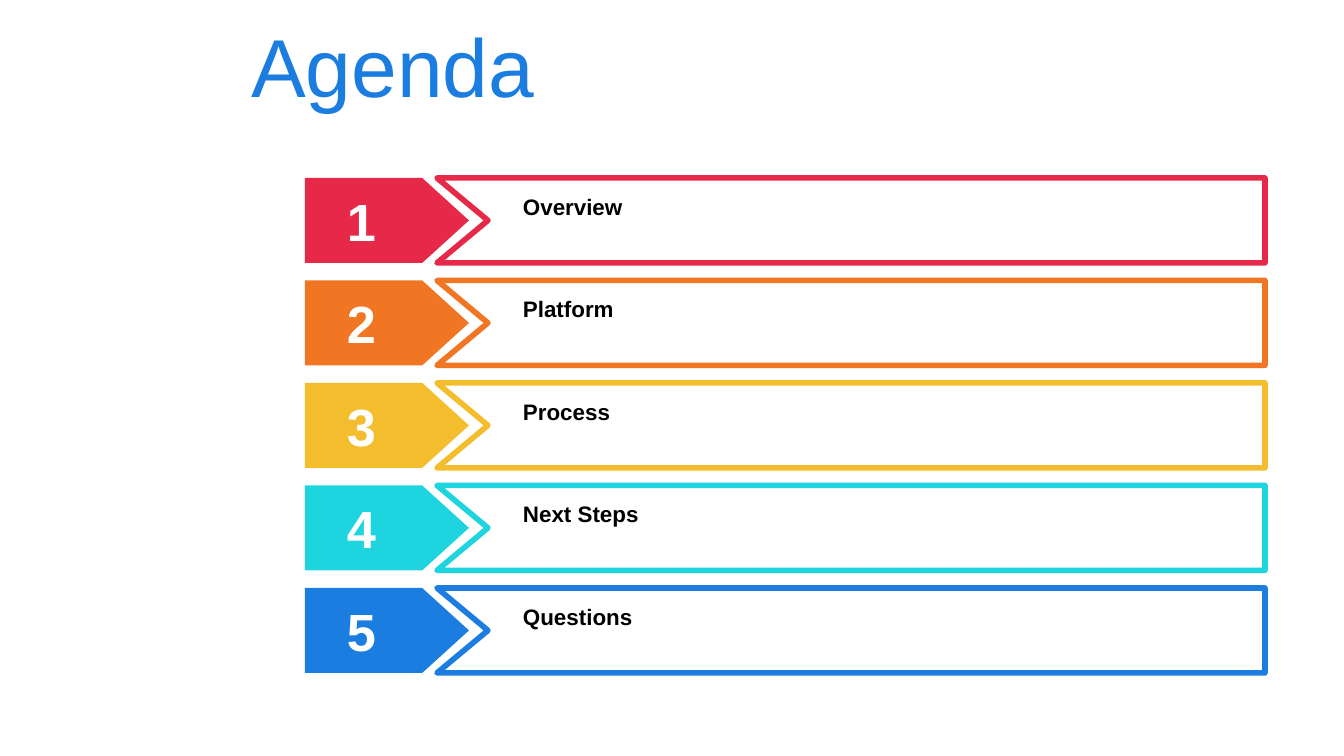
from lxml.etree import SubElement
from pptx import Presentation
from pptx.dml.color import RGBColor
from pptx.enum.shapes import MSO_SHAPE as SHAPE
from pptx.enum.text import MSO_ANCHOR as ANCHOR, MSO_AUTO_SIZE as AUTO, PP_ALIGN as ALIGN
from pptx.oxml.ns import qn
from pptx.util import Pt

PX = 914400 / 134.4
ITEMS = [
    ("Overview", "E62949"),
    ("Platform", "F07624"),
    ("Process", "F4BD2D"),
    ("Next Steps", "1ED4DE"),
    ("Questions", "1C7DE1"),
]


def px(*lengths):
    """Turn pixel lengths into a list of EMU."""
    return [round(n * PX) for n in lengths]


def rgb(code):
    """Turn a hex string into a colour."""
    return RGBColor.from_string(code)


def assign(obj, values):
    """Set each attribute of an object from a dict."""
    for name, value in values.items():
        setattr(obj, name, value)


def write(sp, text, size, color, bold=False, align=ALIGN.LEFT, inset=7, **frame):
    """Write one formatted line into a shape."""
    tf = sp.text_frame
    side, edge = px(13, inset)
    assign(tf, dict(word_wrap=True, margin_left=side, margin_right=side,
                    margin_top=edge, margin_bottom=edge, **frame))
    p = tf.paragraphs[0]
    p.alignment = align
    r = p.add_run()
    r.text = text
    assign(r.font, dict(name="Arial", size=Pt(size), bold=bold))
    r.font.color.rgb = rgb(color)


def paint(sp, fill, line=None):
    """Give a shape a flat fill and an optional rounded outline."""
    sp.shadow.inherit = False
    sp.fill.solid()
    sp.fill.fore_color.rgb = rgb(fill)
    if line:
        sp.line.color.rgb = rgb(line)
        sp.line.width = Pt(3)
        SubElement(sp.line._get_or_add_ln(), qn("a:round"))
    else:
        sp.line.fill.background()


def add_title(s, x, y, w, h):
    """Place the slide title."""
    sp = s.shapes.title
    assign(sp, dict(zip(("left", "top", "width", "height"), px(x, y, w, h))))
    write(sp, "Agenda", 44, "1C7DE1", vertical_anchor=ANCHOR.MIDDLE, auto_size=AUTO.NONE)


def add_item(s, x, y, w, h, number, label, color):
    """Draw a numbered arrow and its notched label box."""
    plate = s.shapes.add_shape(SHAPE.PENTAGON, *px(x, y, 164, h))
    plate.adjustments[0] = 0.55
    paint(plate, color)

    left, right = x + 132, x + w
    outline = s.shapes.build_freeform(*px(left, y), scale=1.0)
    corners = [(right, y), (right, y + h), (left, y + h), (left + 51, y + h / 2)]
    outline.add_line_segments([px(*c) for c in corners], close=True)
    paint(outline.convert_to_shape(), "FFFFFF", color)

    digit = s.shapes.add_textbox(*px(x + 12, y + 11, 89, 63))
    write(digit, str(number), 28, "FFFFFF", True, ALIGN.CENTER, 0,
          vertical_anchor=ANCHOR.MIDDLE, auto_size=AUTO.SHAPE_TO_FIT_TEXT)
    caption = s.shapes.add_textbox(*px(x + 205, y + 8, 712, 40))
    write(caption, label, 12, "000000", True, auto_size=AUTO.SHAPE_TO_FIT_TEXT)


def add_agenda(s, x, y, w, h, row=85):
    """Spread the agenda items evenly over a box."""
    pitch = (h - row) / (len(ITEMS) - 1)
    for i, (label, color) in enumerate(ITEMS):
        add_item(s, x, y + i * pitch, w, row, i + 1, label, color)


def main():
    """Build and save the slide."""
    prs = Presentation()
    prs.slide_width, prs.slide_height = px(1344, 756)
    s = prs.slides.add_slide(prs.slide_layouts[5])
    add_title(s, 238, 0, 1106, 130)
    add_agenda(s, 305, 178, 960, 495)
    prs.save("out.pptx")


if __name__ == "__main__":
    main()
